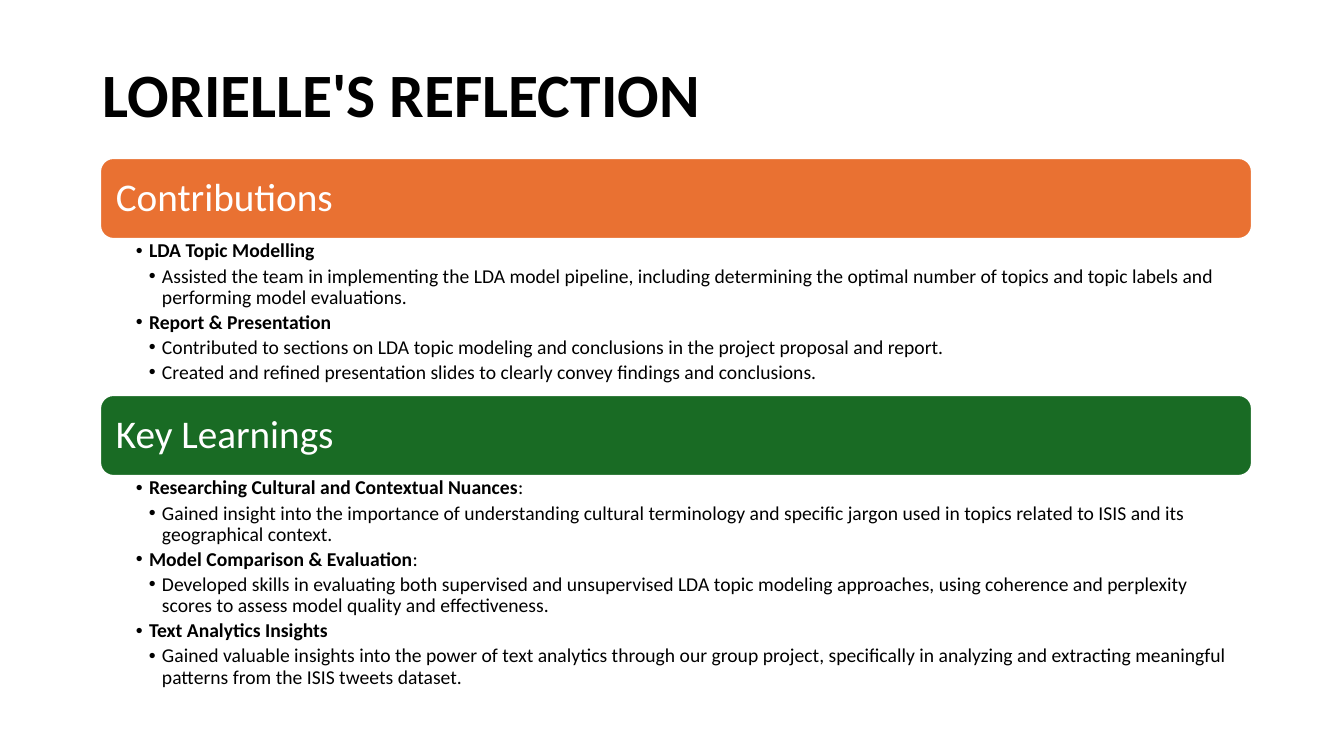
from lxml.etree import SubElement
from pptx import Presentation
from pptx.dml.color import RGBColor
from pptx.enum.shapes import MSO_SHAPE
from pptx.enum.text import MSO_ANCHOR, MSO_AUTO_SIZE, PP_ALIGN
from pptx.oxml.ns import qn
from pptx.util import Pt

# Content: banner, colour, list height, then (topic, tail, points)
TITLE = "LORIELLE'S REFLECTION"
PARTS = [
    ("Contributions", "E97132", 156, [
        ("LDA Topic Modelling", "", [
            "Assisted the team in implementing the LDA model pipeline, including determining the optimal number of topics and topic labels and performing model evaluations."]),
        ("Report & Presentation", "", [
            "Contributed to sections on LDA topic modeling and conclusions in the project proposal and report.",
            "Created and refined presentation slides to clearly convey findings and conclusions."]),
    ]),
    ("Key Learnings", "196B24", 223, [
        ("Researching Cultural and Contextual Nuances", ":", [
            "Gained insight into the importance of understanding cultural terminology and specific jargon used in topics related to ISIS and its geographical context."]),
        ("Model Comparison & Evaluation", ":", [
            "Developed skills in evaluating both supervised and unsupervised LDA topic modeling approaches, using coherence and perplexity scores to assess model quality and effectiveness."]),
        ("Text Analytics Insights", "", [
            "Gained valuable insights into the power of text analytics through our group project, specifically in analyzing and extracting meaningful patterns from the ISIS tweets dataset."]),
    ]),
]
LEFT, TOP, WIDTH, BAR = 100, 158, 1152, 81
STEP = 13  # indent of each list level


def px(n):
    return round(n * 914400 / 100.8)


def rgb(code):
    return RGBColor.from_string(code)


def place(shape, x, y, w, h):
    shape.left, shape.top, shape.width, shape.height = map(px, (x, y, w, h))


def frame(shape, pads, anchor):
    text = shape.text_frame
    text.word_wrap = True
    text.auto_size = MSO_AUTO_SIZE.NONE
    text.vertical_anchor = anchor
    text.margin_left, text.margin_top, text.margin_right, text.margin_bottom = map(px, pads)
    return text


def style(para, size, color, bold=False, after=0):
    para.alignment = PP_ALIGN.LEFT
    para.line_spacing = 0.9
    para.space_before, para.space_after = Pt(0), Pt(after)
    for run in para.runs:
        font = run.font
        font.name, font.size, font.bold = "Calibri", Pt(size), bold
        font.color.rgb = rgb(color)


def bullet(para, level):
    para.level = level
    props = para._p.get_or_add_pPr()
    props.set("marL", str(px(STEP * level)))
    props.set("indent", str(-px(STEP)))
    SubElement(props, qn("a:buChar")).set("char", "•")


def fill_list(text, topics):
    rows = []
    for topic, tail, points in topics:
        rows.append((1, topic, tail))
        rows += [(2, point, "") for point in points]
    for i, (level, words, tail) in enumerate(rows):
        para = text.add_paragraph() if i else text.paragraphs[0]
        para.text = words
        if tail:
            para.add_run().text = tail
        bullet(para, level)
        style(para, 14, "000000", level == 1, 2.8)
        if tail:
            para.runs[1].font.bold = False


def main():
    deck = Presentation()
    deck.slide_width, deck.slide_height = px(1344), px(756)
    slide = deck.slides.add_slide(deck.slide_layouts[3])
    title, *bodies = slide.placeholders

    # Title
    place(title, 93, 25, 1159, 146)
    text = frame(title, (10, 5, 10, 5), MSO_ANCHOR.MIDDLE)
    text.text = TITLE
    style(text.paragraphs[0], 44, "000000", True)

    # Banners, each with its list below
    y = TOP
    for body, (name, color, height, topics) in zip(bodies, PARTS):
        bar = slide.shapes.add_shape(MSO_SHAPE.ROUNDED_RECTANGLE, 0, 0, 0, 0)
        place(bar, LEFT, y, WIDTH, BAR)
        bar.shadow.inherit = False
        bar.fill.solid()
        bar.fill.fore_color.rgb = rgb(color)
        bar.line.color.rgb = rgb("FFFFFF")
        bar.line.width = Pt(1.5)
        text = frame(bar, (12, 12, 12, 12), MSO_ANCHOR.MIDDLE)
        text.text = name
        style(text.paragraphs[0], 28, "FFFFFF")

        place(body, LEFT, y + BAR, WIDTH, height)
        fill_list(frame(body, (36, 2, 11, 2), MSO_ANCHOR.TOP), topics)
        y += BAR + height

    deck.save("out.pptx")


if __name__ == "__main__":
    main()
